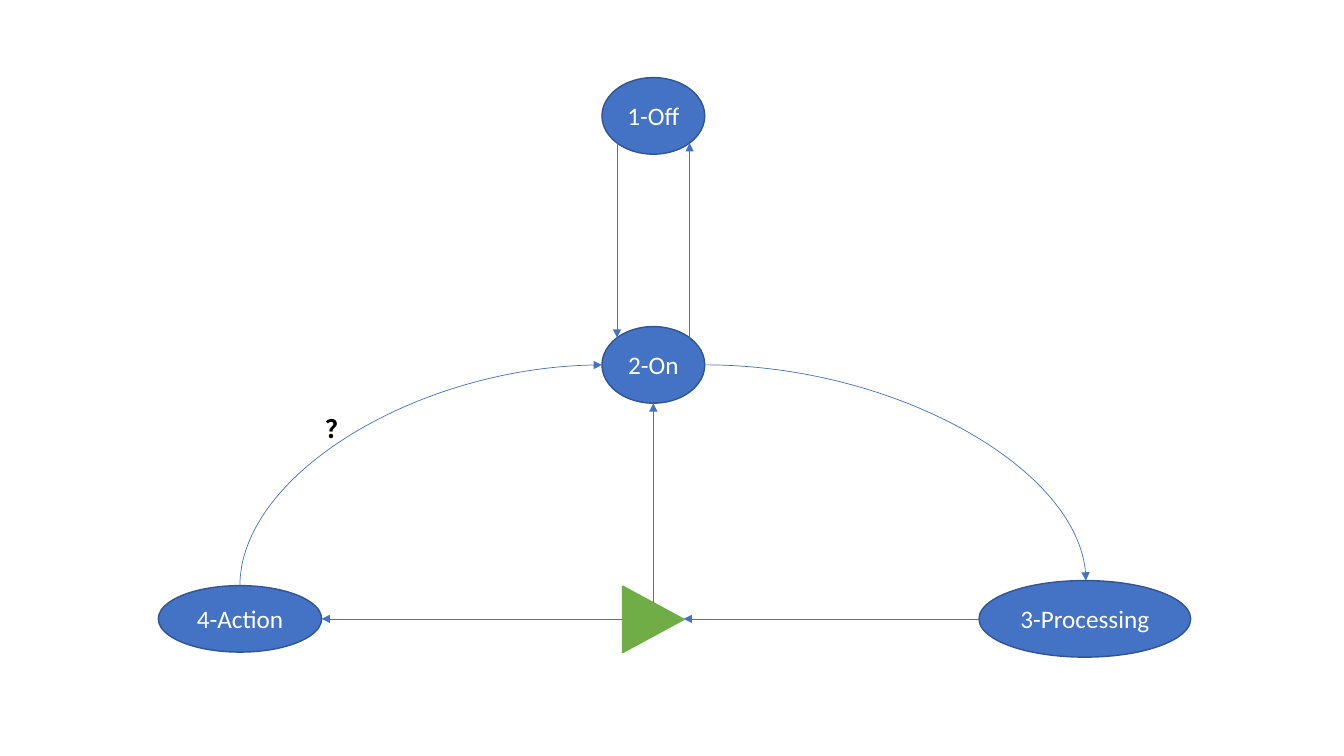
from dataclasses import dataclass

from lxml import etree
from pptx import Presentation
from pptx.dml.color import RGBColor
from pptx.enum.shapes import MSO_CONNECTOR, MSO_SHAPE
from pptx.enum.text import MSO_ANCHOR, MSO_AUTO_SIZE, PP_ALIGN
from pptx.oxml.ns import qn
from pptx.util import Emu, Pt

STRAIGHT, CURVE = MSO_CONNECTOR.STRAIGHT, MSO_CONNECTOR.CURVE
OVAL, TRIANGLE = MSO_SHAPE.OVAL, MSO_SHAPE.ISOSCELES_TRIANGLE
MIDDLE, CENTER = MSO_ANCHOR.MIDDLE, PP_ALIGN.CENTER
FIT_SHAPE = MSO_AUTO_SIZE.SHAPE_TO_FIT_TEXT
BLANK_LAYOUT = 6
EMU_PER_PX = 9144  # 100 px to the inch


@dataclass(frozen=True)
class Theme:
    font: str = "Calibri"
    text_size: float = 18
    outline_width: float = 1
    arrow_width: float = 0.5
    state: RGBColor = RGBColor(0x44, 0x72, 0xC4)
    state_outline: RGBColor = RGBColor(0x32, 0x54, 0x91)
    gate: RGBColor = RGBColor(0x70, 0xAD, 0x47)
    light_text: RGBColor = RGBColor(0xFF, 0xFF, 0xFF)
    dark_text: RGBColor = RGBColor(0, 0, 0)


@dataclass(frozen=True)
class State:
    label: str
    left: int
    top: int
    width: int
    height: int


@dataclass(frozen=True)
class Arrow:
    start: tuple[int, int]
    end: tuple[int, int]


THEME = Theme()
STATES = [
    State("1-Off", 597, 77, 102, 76),
    State("2-On", 597, 324, 102, 76),
    State("3-Processing", 971, 576, 210, 76),
    State("4-Action", 157, 581, 162, 66),
]
STRAIGHT_ARROWS = [
    Arrow((612, 142), (612, 335)),
    Arrow((684, 335), (684, 142)),
    Arrow((971, 614), (678, 614)),
    Arrow((648, 598), (648, 400)),
    Arrow((617, 614), (319, 614)),
]
ON_TO_PROCESSING = Arrow((699, 362), (1077, 576))
ACTION_TO_ON = Arrow((238, 581), (597, 362))


def px(length: int) -> Emu:
    return Emu(length * EMU_PER_PX)


def style_font(para, color: RGBColor, bold: bool = False) -> None:
    para.font.name = THEME.font
    para.font.size = Pt(THEME.text_size)
    para.font.bold = bold
    para.font.color.rgb = color


def add_filled(page, kind, bounds, fill: RGBColor, outline: RGBColor):
    shape = page.shapes.add_shape(kind, *map(px, bounds))
    shape.shadow.inherit = False
    shape.fill.solid()
    shape.fill.fore_color.rgb = fill
    shape.line.color.rgb = outline
    shape.line.width = Pt(THEME.outline_width)
    return shape


def add_state(page, state: State) -> None:
    bounds = (state.left, state.top, state.width, state.height)
    oval = add_filled(page, OVAL, bounds, THEME.state, THEME.state_outline)
    frame = oval.text_frame
    frame.vertical_anchor = MIDDLE
    frame.word_wrap = False
    para = frame.paragraphs[0]
    para.text = state.label
    para.alignment = CENTER
    style_font(para, THEME.light_text)


def add_line(page, kind, start, end, arrow_end: str):
    """Draw a connector with a triangle at its "headEnd" or "tailEnd"."""
    line = page.shapes.add_connector(kind, *map(px, start + end))
    line.line.color.rgb = THEME.state
    line.line.width = Pt(THEME.arrow_width)
    properties = line._element.spPr
    outline = properties.find(qn("a:ln"))
    etree.SubElement(outline, qn(f"a:{arrow_end}"), type="triangle")
    etree.SubElement(properties, qn("a:effectLst"))
    return line


def add_quarter_curve(page, start, end, arrow_end: str) -> None:
    """Draw a curve that leaves start sideways and meets end vertically."""
    curve = add_line(page, CURVE, start, end, arrow_end)
    geometry = curve._element.spPr.find(qn("a:prstGeom"))
    geometry.set("prst", "curvedConnector2")


def add_question_mark(page) -> None:
    box = page.shapes.add_textbox(*map(px, (313, 405, 45, 40)))
    frame = box.text_frame
    frame.word_wrap = False
    frame.auto_size = FIT_SHAPE
    para = frame.paragraphs[0]
    para.text = "？"
    style_font(para, THEME.dark_text, bold=True)


def main() -> None:
    deck = Presentation()
    deck.slide_width, deck.slide_height = px(1333), px(750)
    page = deck.slides.add_slide(deck.slide_layouts[BLANK_LAYOUT])

    for state in STATES:
        add_state(page, state)
    gate = add_filled(page, TRIANGLE, (615, 584, 66, 61), THEME.gate, THEME.gate)
    gate.rotation = 90

    for arrow in STRAIGHT_ARROWS:
        add_line(page, STRAIGHT, arrow.start, arrow.end, "tailEnd")
    add_quarter_curve(page, ON_TO_PROCESSING.start, ON_TO_PROCESSING.end, "tailEnd")
    add_quarter_curve(page, ACTION_TO_ON.end, ACTION_TO_ON.start, "headEnd")
    add_question_mark(page)
    deck.save("out.pptx")


if __name__ == "__main__":
    main()
